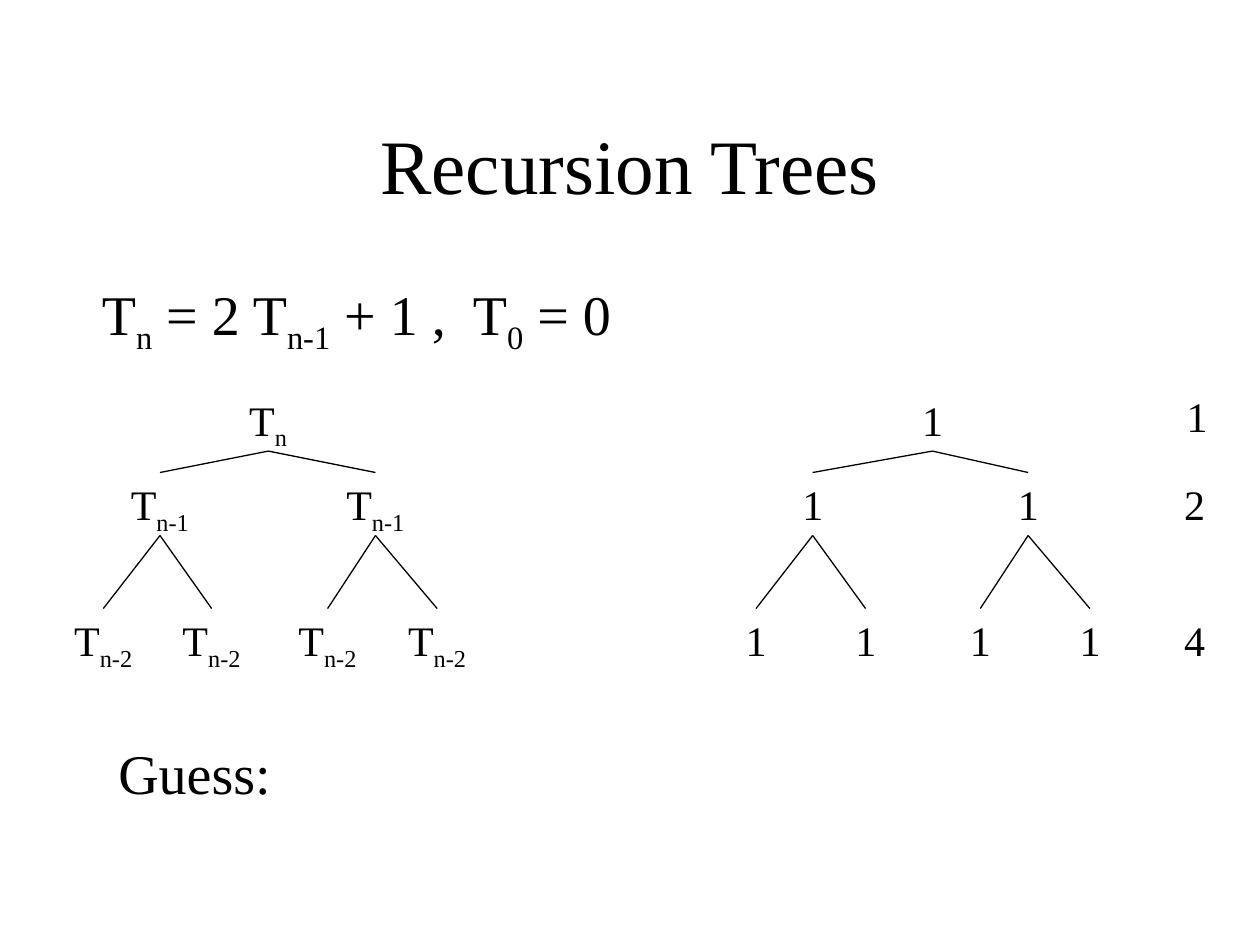
from pptx import Presentation
from pptx.dml.color import RGBColor
from pptx.enum.shapes import MSO_CONNECTOR
from pptx.enum.text import MSO_ANCHOR, MSO_AUTO_SIZE, PP_ALIGN
from pptx.oxml.ns import qn
from pptx.util import Inches, Pt
from lxml import etree

BLACK = "000000"

prs = Presentation()
prs.slide_width, prs.slide_height = Inches(10), Inches(7.5)
slide = prs.slides.add_slide(prs.slide_layouts[6])


def add_text(text, x, y, w, h, size=24, color=BLACK, title=False):
    """Add a text box; parts between bars are subscripts, as in T|n|."""
    sp = slide.shapes.add_textbox(Inches(x), Inches(y), Inches(w), Inches(h))
    tf = sp.text_frame
    tf.word_wrap = title
    tf.auto_size = MSO_AUTO_SIZE.NONE if title else MSO_AUTO_SIZE.SHAPE_TO_FIT_TEXT
    tf.vertical_anchor = MSO_ANCHOR.MIDDLE if title else MSO_ANCHOR.TOP
    p = tf.paragraphs[0]
    p.alignment = PP_ALIGN.CENTER if title else PP_ALIGN.LEFT
    for i, part in enumerate(text.split("|")):
        if not part:
            continue
        r = p.add_run()
        r.text = part
        r.font.name = "Times New Roman"
        r.font.size = Pt(size)
        r.font.color.rgb = RGBColor.from_string(color)
        if i % 2:
            r.font._element.set("baseline", "-25000")


def add_branch(x1, y1, x2, y2, color=BLACK):
    line = slide.shapes.add_connector(
        MSO_CONNECTOR.STRAIGHT, Inches(x1), Inches(y1), Inches(x2), Inches(y2))
    line.line.color.rgb = RGBColor.from_string(color)
    line.line.width = Pt(0.75)
    etree.SubElement(line._element.spPr, qn("a:effectLst"))


# Title and recurrence
add_text("Recursion Trees", 0.75, 0.67, 8.5, 1.25, size=44, title=True)
add_text("T|n| = 2 T|n-1| + 1 ,  T|0| = 0", 0.71, 2.17, 4.3, 0.71, size=32)

# Trees: node centres by level, then label, box width and height by level
level_tops = [3.08, 3.75, 4.83]
branch_tops = [3.58, 4.25]
trees = [
    ([[2.13], [1.27, 2.98], [0.82, 1.68, 2.6, 3.47]],
     [("T|n|", 0.5, 0.56), ("T|n-1|", 0.66, 0.56), ("T|n-2|", 0.66, 0.56)]),
    ([[7.4], [6.45, 8.16], [6, 6.87, 7.78, 8.65]],
     [("1", 0.36, 0.5)] * 3),
]
for levels, labels in trees:
    for centres, (label, w, h), top in zip(levels, labels, level_tops):
        for x in centres:
            add_text(label, x - w / 2, top, w, h)
    for parents, children, y1, y2 in zip(levels, levels[1:], branch_tops, level_tops[1:]):
        for i, x in enumerate(children):
            add_branch(parents[i // 2], y1, x, y2)

# Sum of each level
for total, x, y in [("1", 9.32, 3.05), ("2", 9.3, 3.75), ("4", 9.3, 4.83)]:
    add_text(total, x, y, 0.36, 0.5)

# Closing prompt
add_text("Guess:", 0.84, 5.81, 1.41, 0.64, size=32)

prs.save("out.pptx")
